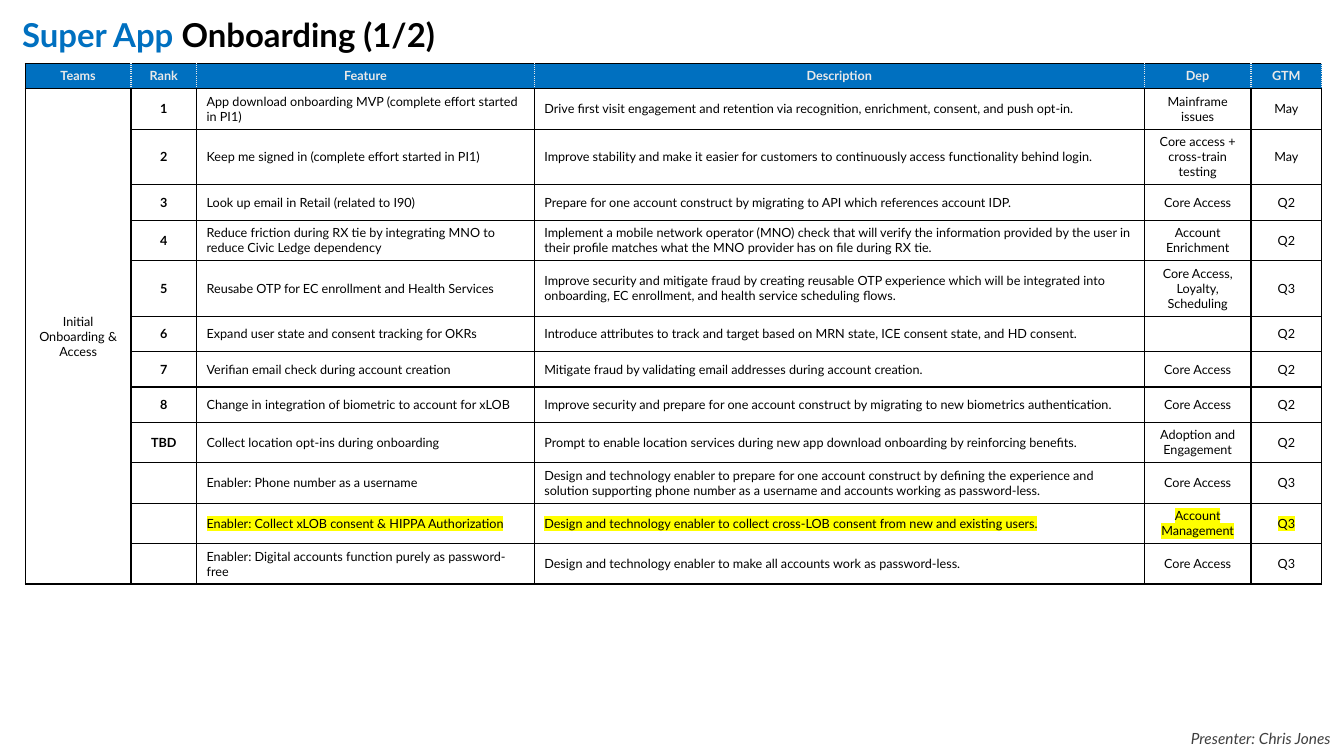
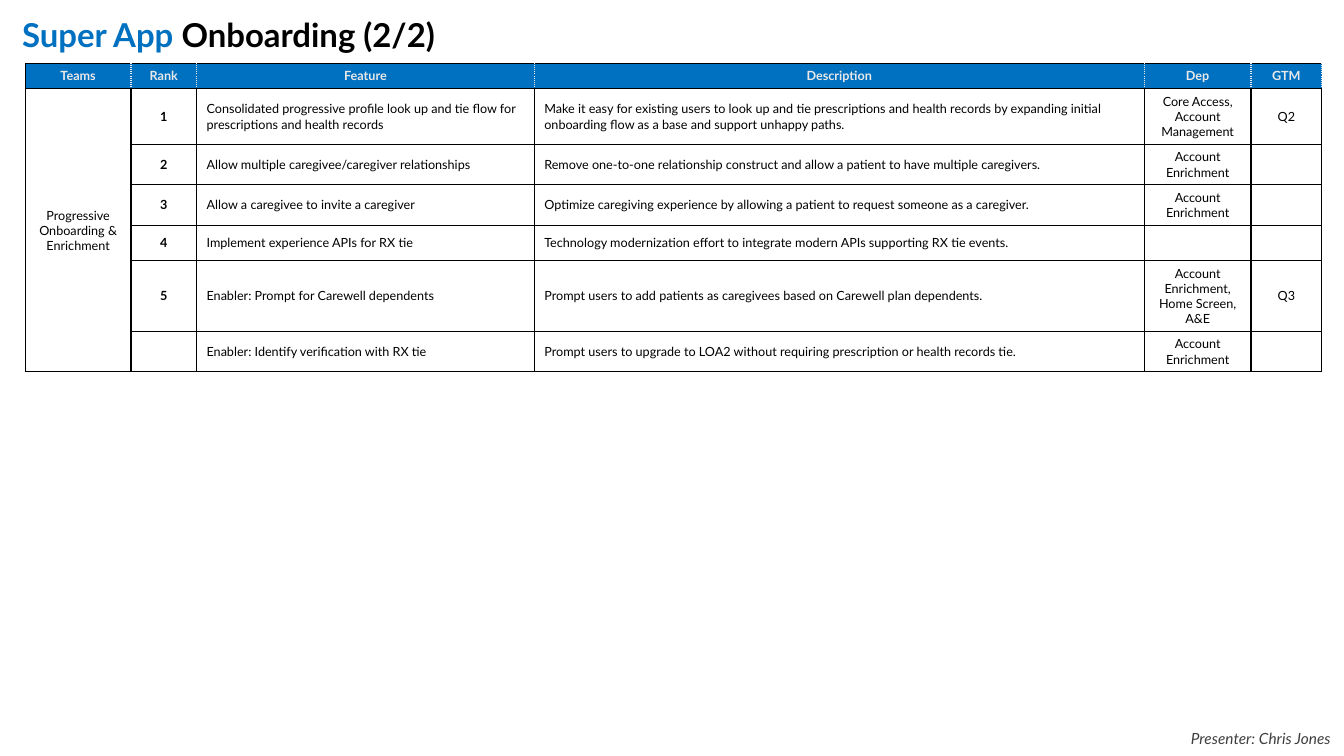
from collections import namedtuple
from dataclasses import dataclass

import pptx
import pptx.dml.color
import pptx.enum.text
import pptx.oxml
import pptx.oxml.ns
import pptx.util
from lxml import etree

Inches = pptx.util.Inches
Align = pptx.enum.text.PP_ALIGN
Anchor = pptx.enum.text.MSO_ANCHOR
Box = namedtuple("Box", "left top width height")
Feature = namedtuple("Feature", "lines rank name description dependency launch marked",
                     defaults=(False,))


@dataclass(frozen=True)
class Theme:
    font: str = "Lato"
    blue: str = "0070C0"
    black: str = "000000"
    white: str = "FFFFFF"
    pale: str = "E9E9E9"
    grey: str = "3F3F3F"
    marker: str = "FFFF00"
    title_size: float = 23.5
    table_size: float = 9
    footer_size: float = 11
    border: float = 1


THEME = Theme()
SLIDE_WIDTH, SLIDE_HEIGHT = 13.33, 7.5
TITLE_BOX = Box(0.22, 0.19, 12.9, 0.49)
TABLE_BOX = Box(0.25, 0.63, 12.86, 0)
FOOTER_BOX = Box(10.04, 7.23, 3.16, 0.19)

HEADINGS = ("Teams", "Rank", "Feature", "Description", "Dep", "GTM")
COLUMN_PARTS = (1.05, 0.65, 3.35, 6.05, 1.06, 0.7)
LEFT_ALIGNED = ("Feature", "Description")
LINE_HEIGHT, CELL_PADDING, RANK_PADDING = 0.15, 0.05, 0.1

INITIAL_FEATURES = (
    Feature(2, "1", "App download onboarding MVP (complete effort started in PI1)",
            "Drive first visit engagement and retention via recognition, enrichment, consent, "
            "and push opt-in.", "Mainframe issues", "May"),
    Feature(3, "2", "Keep me signed in (complete effort started in PI1)",
            "Improve stability and make it easier for customers to continuously access "
            "functionality behind login.", "Core access + cross-train testing", "May"),
    Feature(1, "3", "Look up email in Retail (related to I90)",
            "Prepare for one account construct by migrating to API which references account IDP.",
            "Core Access", "Q2"),
    Feature(2, "4", "Reduce friction during RX tie by integrating MNO to reduce Civic Ledge "
            "dependency",
            "Implement a mobile network operator (MNO) check that will verify the information "
            "provided by the user in their profile matches what the MNO provider has on file "
            "during RX tie.", "Account Enrichment", "Q2"),
    Feature(3, "5", "Reusabe OTP for EC enrollment and Health Services",
            "Improve security and mitigate fraud by creating reusable OTP experience which will "
            "be integrated into onboarding, EC enrollment, and health service scheduling flows.",
            "Core Access, Loyalty, Scheduling", "Q3"),
    Feature(1, "6", "Expand user state and consent tracking for OKRs",
            "Introduce attributes to track and target based on MRN state, ICE consent state, "
            "and HD consent.", "", "Q2"),
    Feature(1, "7", "Verifian email check during account creation",
            "Mitigate fraud by validating email addresses during account creation.",
            "Core Access", "Q2"),
    Feature(1, "8", "Change in integration of biometric to account for xLOB",
            "Improve security and prepare for one account construct by migrating to new "
            "biometrics authentication.", "Core Access", "Q2"),
    Feature(2, "TBD", "Collect location opt-ins during onboarding",
            "Prompt to enable location services during new app download onboarding by "
            "reinforcing benefits.", "Adoption and Engagement", "Q2"),
    Feature(2, "", "Enabler: Phone number as a username",
            "Design and technology enabler to prepare for one account construct by defining the "
            "experience and solution supporting phone number as a username and accounts working "
            "as password-less.", "Core Access", "Q3"),
    Feature(2, "", "Enabler: Collect xLOB consent & HIPPA Authorization",
            "Design and technology enabler to collect cross-LOB consent from new and existing "
            "users.", "Account Management", "Q3", marked=True),
    Feature(2, "", "Enabler: Digital accounts function purely as password-free",
            "Design and technology enabler to make all accounts work as password-less.",
            "Core Access", "Q3"),
)

PROGRESSIVE_FEATURES = (
    Feature(3, "1", "Consolidated progressive profile look up and tie flow for prescriptions "
            "and health records",
            "Make it easy for existing users to look up and tie prescriptions and health records "
            "by expanding initial onboarding flow as a base and support unhappy paths.",
            "Core Access, Account Management", "Q2"),
    Feature(2, "2", "Allow multiple caregivee/caregiver relationships",
            "Remove one-to-one relationship construct and allow a patient to have multiple "
            "caregivers.", "Account Enrichment", ""),
    Feature(2, "3", "Allow a caregivee to invite a caregiver",
            "Optimize caregiving experience by allowing a patient to request someone as a "
            "caregiver.", "Account Enrichment", ""),
    Feature(1, "4", "Implement experience APIs for RX tie",
            "Technology modernization effort to integrate modern APIs supporting RX tie events.",
            "", ""),
    Feature(4, "5", "Enabler: Prompt for Carewell dependents",
            "Prompt users to add patients as caregivees based on Carewell plan dependents.",
            "Account Enrichment, Home Screen, A&E", "Q3"),
    Feature(2, "", "Enabler: Identify verification with RX tie",
            "Prompt users to upgrade to LOA2 without requiring prescription or health records "
            "tie.", "Account Enrichment", ""),
)

PAGES = (
    ("Onboarding (1/2)", "Initial Onboarding & Access", INITIAL_FEATURES),
    ("Onboarding (2/2)", "Progressive Onboarding & Enrichment", PROGRESSIVE_FEATURES),
)


def rgb(color):
    return pptx.dml.color.RGBColor.from_string(color)


def add_child(parent, tag, **attributes):
    return etree.SubElement(parent, pptx.oxml.ns.qn(tag), **attributes)


def style_span(span, size, color, bold=False, italic=False):
    font = span.font
    font.name, font.size = THEME.font, pptx.util.Pt(size)
    font.bold, font.italic = bold, italic
    font.color.rgb = rgb(color)


def highlight(span):
    fill = span.font._element.find(pptx.oxml.ns.qn("a:solidFill"))
    mark = etree.Element(pptx.oxml.ns.qn("a:highlight"))
    add_child(mark, "a:srgbClr", val=THEME.marker)
    fill.addnext(mark)


def add_text_box(page, box):
    """Add an unpadded, wrapping text box and return its first paragraph."""
    frame = page.shapes.add_textbox(*map(Inches, box)).text_frame
    frame.word_wrap = True
    frame.margin_left = frame.margin_right = frame.margin_top = frame.margin_bottom = 0
    return frame.paragraphs[0]


def add_title(page, box, topic):
    para = add_text_box(page, box)
    para.line_spacing = 0.9
    for words, color in (("Super App", THEME.blue), (f" {topic}", THEME.black)):
        span = para.add_run()
        span.text = words
        style_span(span, THEME.title_size, color, bold=True)


def add_footer(page, box):
    para = add_text_box(page, box)
    para.text = "Presenter: Chris Jones"
    para.alignment = Align.RIGHT
    style_span(para.runs[0], THEME.footer_size, THEME.grey, italic=True)


def draw_borders(cell, dotted_sides=()):
    properties = cell._tc.get_or_add_tcPr()
    for side in "LRTB":
        dotted = side in dotted_sides
        line = add_child(properties, f"a:ln{side}", w=str(pptx.util.Pt(THEME.border)))
        paint = add_child(line, "a:solidFill")
        add_child(paint, "a:srgbClr", val=THEME.pale if dotted else THEME.black)
        add_child(line, "a:prstDash", val="sysDot" if dotted else "solid")


def fill_cell(cell, words, column, is_heading=False, marked=False):
    heading = HEADINGS[column]
    dotted = ""
    if is_heading:
        dotted = "R" if column == 0 else "LR"
    draw_borders(cell, dotted)
    cell.fill.solid()
    cell.fill.fore_color.rgb = rgb(THEME.blue if is_heading else THEME.white)
    cell.vertical_anchor = Anchor.MIDDLE
    is_rank = heading == "Rank" and not is_heading
    cell.margin_top = cell.margin_bottom = Inches(RANK_PADDING if is_rank else CELL_PADDING)

    para = cell.text_frame.paragraphs[0]
    para.text = words
    left = heading in LEFT_ALIGNED and not is_heading
    para.alignment = Align.LEFT if left else Align.CENTER
    for span in para.runs:
        style_span(span, THEME.table_size, THEME.pale if is_heading else THEME.black,
                   bold=is_heading or is_rank)
        if marked:
            highlight(span)
    if not words:
        add_child(para._p, "a:endParaRPr", sz=str(int(THEME.table_size * 100)))


def row_height(lines):
    return max(lines * LINE_HEIGHT + 2 * CELL_PADDING, LINE_HEIGHT + 2 * RANK_PADDING)


def add_feature_table(page, box, team, features):
    heights = [LINE_HEIGHT + 2 * CELL_PADDING] + [row_height(item.lines) for item in features]
    frame = page.shapes.add_table(len(heights), len(HEADINGS), Inches(box.left),
                                  Inches(box.top), Inches(box.width), Inches(sum(heights)))
    table = frame.table
    table.first_row = table.horz_banding = False
    for column, part in zip(table.columns, COLUMN_PARTS):
        column.width = Inches(box.width * part / sum(COLUMN_PARTS))
    for row, height in zip(table.rows, heights):
        row.height = Inches(height)

    for column, heading in enumerate(HEADINGS):
        fill_cell(table.cell(0, column), heading, column, is_heading=True)
    for row, item in enumerate(features, start=1):
        words = (team if row == 1 else "", item.rank, item.name, item.description,
                 item.dependency, item.launch)
        for column, text in enumerate(words):
            fill_cell(table.cell(row, column), text, column,
                      marked=item.marked and column > 0)
    table.cell(1, 0).merge(table.cell(len(features), 0))


def add_feature_page(deck, topic, team, features):
    page = deck.slides.add_slide(deck.slide_layouts[6])
    add_title(page, TITLE_BOX, topic)
    add_feature_table(page, TABLE_BOX, team, features)
    add_footer(page, FOOTER_BOX)


def main():
    deck = pptx.Presentation()
    deck.slide_width, deck.slide_height = Inches(SLIDE_WIDTH), Inches(SLIDE_HEIGHT)
    for topic, team, features in PAGES:
        add_feature_page(deck, topic, team, features)
    deck.save("out.pptx")


if __name__ == "__main__":
    main()
